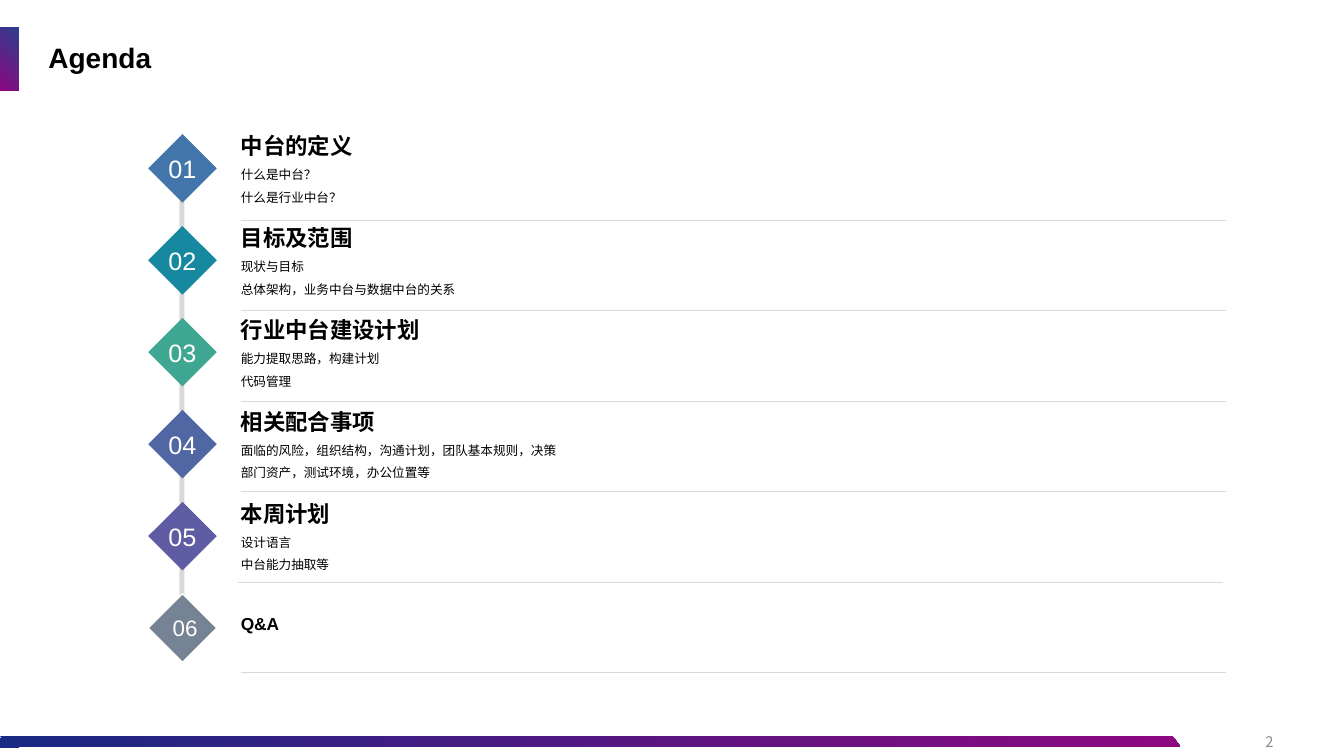
from lxml import etree
from pptx import Presentation
from pptx import util as u
from pptx.dml.color import RGBColor
from pptx.enum import shapes, text
from pptx.oxml.ns import qn

PX = 9144  # 100 px to the inch
HEX = {
    "blue": "182983", "plum": "8D0780", "tab": "1A2983",
    "black": "000000", "white": "FFFFFF", "grey": "8C8C8C", "rule": "D9D9D9",
}
CJK = "Noto Sans CJK SC"
KIND = shapes.MSO_SHAPE
ALIGN = text.PP_ALIGN
ANCHOR = text.MSO_ANCHOR

# Number, colour, heading, details
ROWS = [
    ("01", "4276AA", "中台的定义", ["什么是中台？", "什么是行业中台？"]),
    ("02", "1689A0", "目标及范围", ["现状与目标", "总体架构，业务中台与数据中台的关系"]),
    ("03", "3FA692", "行业中台建设计划", ["能力提取思路，构建计划", "代码管理"]),
    ("04", "5167A4", "相关配合事项",
     ["面临的风险，组织结构，沟通计划，团队基本规则，决策", "部门资产，测试环境，办公位置等"]),
    ("05", "5E5CA2", "本周计划", ["设计语言", "中台能力抽取等"]),
    ("06", "768395", "Q&A", []),
]


def px(*vals):
    return [u.Emu(round(v * PX)) for v in vals]


def rgb(code):
    return RGBColor.from_string(code)


def write(shape, lines, size, color=HEX["black"], bold=False, face="Arial",
          align=ALIGN.LEFT, anchor=ANCHOR.MIDDLE, space=1.0, inset=(10, 5, 10, 5)):
    frame = shape.text_frame
    frame.text = "\n".join(lines)
    frame.word_wrap = True
    frame.vertical_anchor = anchor
    (frame.margin_left, frame.margin_top,
     frame.margin_right, frame.margin_bottom) = px(*inset)
    for para in frame.paragraphs:
        para.alignment, para.line_spacing = align, space
        font = para.font
        font.size, font.bold, font.name = u.Pt(size), bold, face
        font.color.rgb = rgb(color)
        props = para._p.pPr.find(qn("a:defRPr"))
        etree.SubElement(props, qn("a:ea")).set("typeface", CJK)


def label(slide, box, lines, size, **style):
    write(slide.shapes.add_textbox(*px(*box)), lines, size, **style)


def block(slide, kind, box, color=None):
    shape = slide.shapes.add_shape(kind, *px(*box))
    shape.shadow.inherit = False
    shape.line.fill.background()
    if color:
        shape.fill.solid()
        shape.fill.fore_color.rgb = rgb(color)
    return shape


def blend(shape, angle):
    shape.fill.gradient()
    shape.fill.gradient_angle = angle
    for stop, name in zip(shape.fill.gradient_stops, ("blue", "plum")):
        stop.color.rgb = rgb(HEX[name])


def rule(slide, x, y, w):
    line = slide.shapes.add_connector(
        shapes.MSO_CONNECTOR.STRAIGHT, *px(x, y, x + w, y))
    line.line.color.rgb = rgb(HEX["rule"])
    line.line.width = u.Pt(0.25)
    etree.SubElement(line._element.spPr, qn("a:effectLst"))


def header(slide, x, y, w, h):
    # Accent block, its first colour slightly see-through
    accent = block(slide, KIND.RECTANGLE, (x, y, 18, h))
    blend(accent, 225)
    first = accent._element.spPr.find(".//" + qn("a:srgbClr"))
    etree.SubElement(first, qn("a:alpha")).set("val", "90000")
    # Title
    title = slide.shapes.title
    title.left, title.top, title.width, title.height = px(x + 38, y, w - 38, h)
    write(title, ["Agenda"], 20, bold=True, space=0.9)


def footer(slide, x, y, w, h):
    bar = block(slide, KIND.PARALLELOGRAM, (x, y, w, h))
    bar.adjustments[0] = 0.775
    bar._element.spPr.xfrm.set("flipH", "1")
    blend(bar, 180)
    block(slide, KIND.RECTANGLE, (x, y + 2, 19, 10), HEX["tab"])
    # Page number
    label(slide, (x + 973, y - 14, 300, 40), ["2"], 10.5,
          color=HEX["grey"], face=CJK, align=ALIGN.RIGHT)


def entry(slide, x, y, row):
    num, color, head, notes = row
    gem = block(slide, KIND.DIAMOND, (x, y, 68, 68), color)
    gem_style = dict(color=HEX["white"], align=ALIGN.CENTER)
    left = x + 82
    if notes:
        gem.text_frame.word_wrap = False
        write(gem, [num], 18, inset=(0, 0, 0, 0), **gem_style)
        gem.text_frame.word_wrap = False
        label(slide, (left, y + 1, 433, 29), [head], 16,
              bold=True, anchor=ANCHOR.BOTTOM, space=1.1)
        label(slide, (left, y + 30, 433, 35), notes, 9, space=1.5)
    else:  # closing row: outlined diamond and a heading alone
        gem.line.color.rgb = rgb(HEX["white"])
        gem.line.width = u.Pt(1)
        write(gem, [num], 16, inset=(7, 2, 2, 2), **gem_style)
        label(slide, (left, y + 16, 433, 29), [head], 12.4,
              bold=True, anchor=ANCHOR.BOTTOM, space=0.9)


def agenda(slide, x, y, w, h):
    gaps = len(ROWS) - 1
    pitch = (h - 68) / gaps
    # Spine behind the diamonds
    block(slide, KIND.RECTANGLE, (x + 31, y + 25, 5, 445), HEX["rule"])
    for i, row in enumerate(ROWS):
        entry(slide, x, y + i * pitch, row)
        shift = 3 if row[0] == "05" else 0
        rule(slide, x + 92 - shift, y + 85 + i * 449 / gaps, w - 92)


def main():
    deck = Presentation()
    deck.slide_width, deck.slide_height = px(1333, 750)
    slide = deck.slides.add_slide(deck.slide_layouts[5])
    header(slide, 0, 27, 1148, 63)
    footer(slide, 0, 730, 1171, 11)
    agenda(slide, 147, 133, 1069, 524)
    deck.save("out.pptx")


if __name__ == "__main__":
    main()
